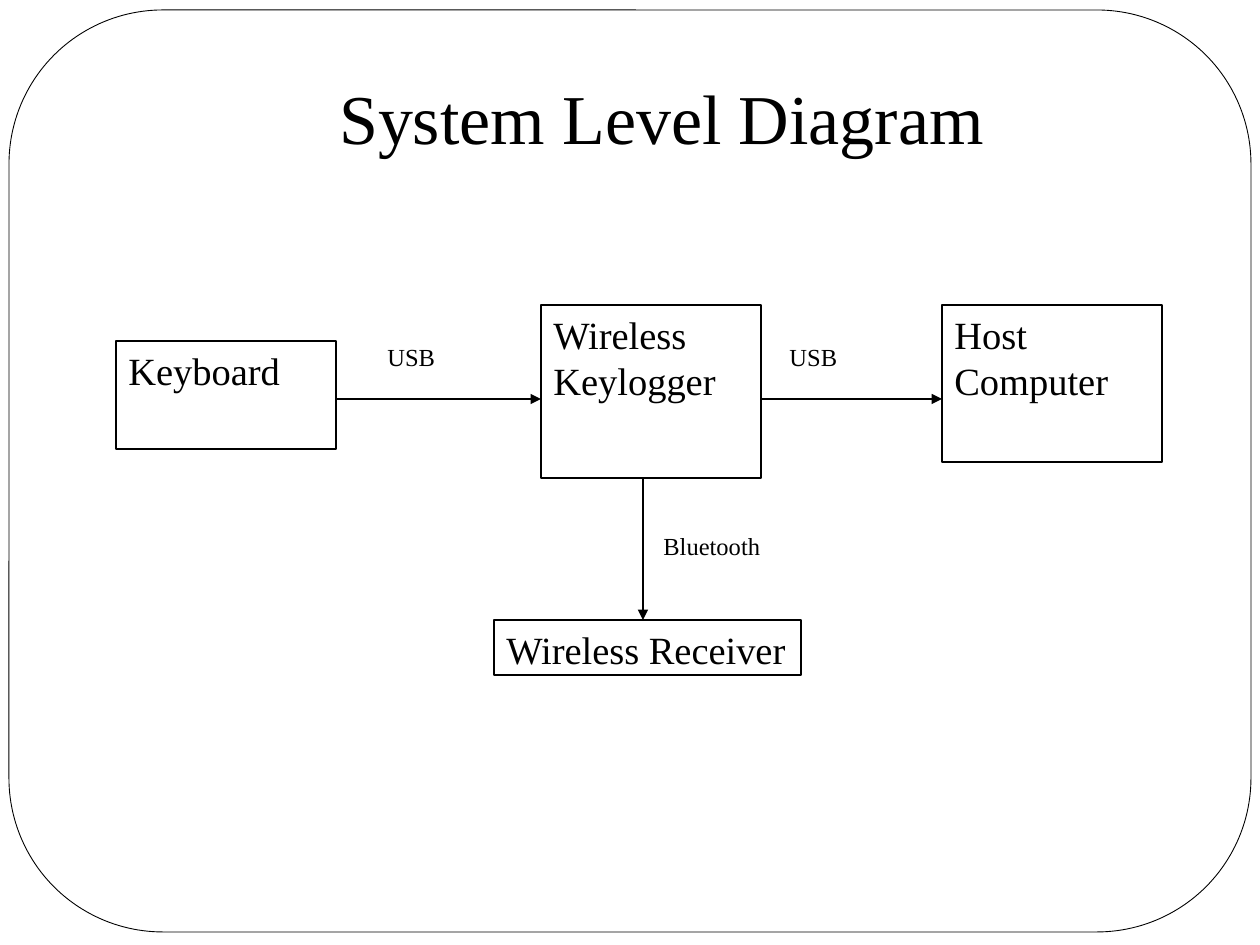
import dataclasses

import pptx
import pptx.dml.color
import pptx.enum.shapes
import pptx.enum.text
import pptx.oxml
import pptx.oxml.ns
import pptx.util

EMU_PER_PX = 914400 // 126
SHAPE = pptx.enum.shapes.MSO_SHAPE
ANCHOR = pptx.enum.text.MSO_ANCHOR
ALIGN = pptx.enum.text.PP_ALIGN


@dataclasses.dataclass(frozen=True)
class Theme:
    font: str = "Times New Roman"
    ink: str = "000000"
    paper: str = "FFFFFF"
    title_size: int = 40
    block_size: int = 22
    label_size: int = 14
    frame_line: float = 0.5
    diagram_line: float = 0.75


THEME = Theme()


def px(*lengths):
    return [pptx.util.Emu(length * EMU_PER_PX) for length in lengths]


def rgb(value):
    return pptx.dml.color.RGBColor.from_string(value)


def write_text(holder, text, *, size, align=ALIGN.LEFT, anchor=ANCHOR.TOP):
    frame = holder.text_frame
    frame.word_wrap = True
    frame.vertical_anchor = anchor
    paragraph = frame.paragraphs[0]
    paragraph.alignment = align
    run = paragraph.add_run()
    run.text = text
    run.font.name = THEME.font
    run.font.size = pptx.util.Pt(size)
    run.font.color.rgb = rgb(THEME.ink)


def add_outline(slide, preset, box, width):
    outline = slide.shapes.add_shape(preset, *px(*box))
    outline.shadow.inherit = False
    outline.line.color.rgb = rgb(THEME.ink)
    outline.line.width = pptx.util.Pt(width)
    return outline


def add_frame(slide, box):
    frame = add_outline(slide, SHAPE.ROUNDED_RECTANGLE, box, THEME.frame_line)
    frame.adjustments[0] = 0.167
    frame.fill.solid()
    frame.fill.fore_color.rgb = rgb(THEME.paper)


def add_block(slide, text, box):
    block = add_outline(slide, SHAPE.RECTANGLE, box, THEME.diagram_line)
    block.fill.background()
    write_text(block, text, size=THEME.block_size)


def add_label(slide, text, box, **text_format):
    label = slide.shapes.add_textbox(*px(*box))
    write_text(label, text, **text_format)


def add_arrow(slide, start, end):
    arrow = slide.shapes.add_connector(
        pptx.enum.shapes.MSO_CONNECTOR.STRAIGHT, *px(*start, *end))
    arrow.line.color.rgb = rgb(THEME.ink)
    arrow.line.width = pptx.util.Pt(THEME.diagram_line)
    namespace = pptx.oxml.ns.nsdecls("a")
    arrow.line._get_or_add_ln().append(
        pptx.oxml.parse_xml(f'<a:tailEnd {namespace} type="triangle"/>'))
    arrow._element.spPr.append(
        pptx.oxml.parse_xml(f"<a:effectLst {namespace}/>"))


def main():
    deck = pptx.Presentation()
    deck.slide_width, deck.slide_height = px(1260, 945)
    slide = deck.slides.add_slide(deck.slide_layouts[6])

    add_frame(slide, (9, 10, 1242, 922))
    add_label(slide, "System Level Diagram", (126, 38, 1071, 158),
              size=THEME.title_size, align=ALIGN.CENTER, anchor=ANCHOR.MIDDLE)

    block_width = 220
    keyboard_left, keylogger_left, host_left = 116, 541, 942
    upper_top, keylogger_height, receiver_top = 305, 173, 620
    usb_y, bluetooth_x = 399, 643

    blocks = (
        ("Wireless Keylogger",
         (keylogger_left, upper_top, block_width, keylogger_height)),
        ("Wireless Receiver", (494, receiver_top, 307, 55)),
        ("Host Computer", (host_left, upper_top, block_width, 157)),
        ("Keyboard", (keyboard_left, 341, block_width, 108)),
    )
    for text, box in blocks:
        add_block(slide, text, box)

    for source_left, target_left in ((keyboard_left, keylogger_left),
                                     (keylogger_left, host_left)):
        add_arrow(slide, (source_left + block_width, usb_y),
                  (target_left, usb_y))
    add_arrow(slide, (bluetooth_x, upper_top + keylogger_height),
              (bluetooth_x, receiver_top))

    for text, left, top in (("USB", 375, 336), ("USB", 777, 336),
                            ("Bluetooth", 651, 525)):
        add_label(slide, text, (left, top, 134, 47), size=THEME.label_size)

    deck.save("out.pptx")


if __name__ == "__main__":
    main()
